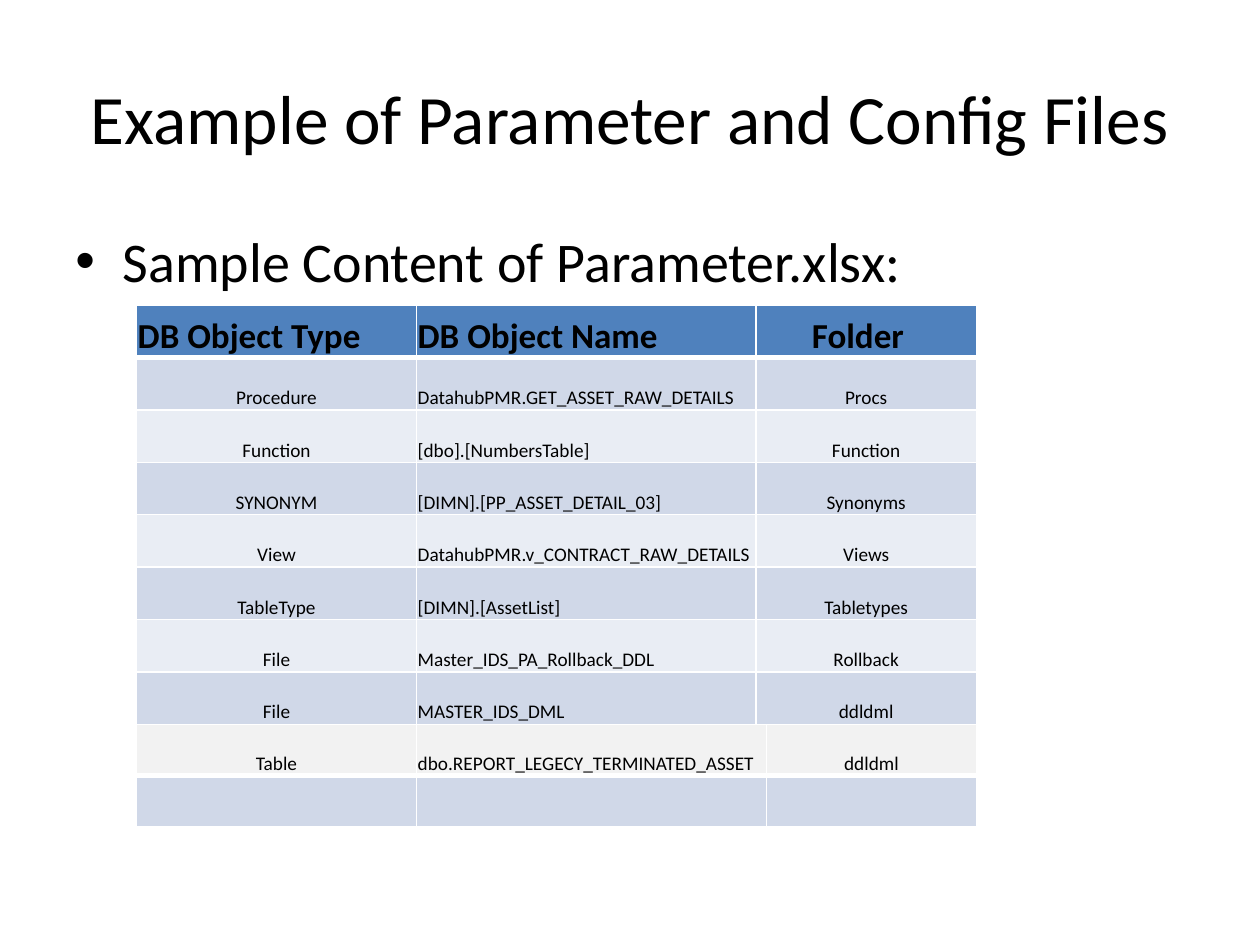
from lxml.etree import SubElement
from pptx import Presentation
from pptx.dml.color import RGBColor
from pptx.enum.text import MSO_ANCHOR, PP_ALIGN
from pptx.oxml.ns import qn
from pptx.util import Pt


def write(tf, text, size, bold=False, align=PP_ALIGN.LEFT, color="000000"):
    p = tf.paragraphs[0]
    p.alignment = align
    r = p.add_run()
    r.text = text
    r.font.name = "Calibri"
    r.font.size = Pt(size)
    r.font.bold = bold
    r.font.color.rgb = RGBColor.from_string(color)
    return p


def format_cell(cell, fill, top=1, bottom=1):
    # Borders come before the fill in the cell properties
    tc_pr = cell._tc.get_or_add_tcPr()
    for side, width in (("L", 1), ("R", 1), ("T", top), ("B", bottom)):
        ln = SubElement(tc_pr, qn(f"a:ln{side}"), w=str(Pt(width)))
        SubElement(SubElement(ln, qn("a:solidFill")), qn("a:srgbClr"), val="FFFFFF")
    cell.fill.solid()
    cell.fill.fore_color.rgb = RGBColor.from_string(fill)
    cell.vertical_anchor = MSO_ANCHOR.BOTTOM
    cell.margin_left = cell.margin_right = cell.margin_top = Pt(0.7)
    cell.margin_bottom = Pt(0)


prs = Presentation()
prs.slide_width, prs.slide_height = Pt(720), Pt(540)
s = prs.slides.add_slide(prs.slide_layouts[5])

# Title
title = s.shapes.title
title.left, title.top, title.width, title.height = Pt(36), Pt(21.6), Pt(648), Pt(90)
title.text_frame.vertical_anchor = MSO_ANCHOR.MIDDLE
write(title.text_frame, "Example of Parameter and Config Files", 39.6, align=PP_ALIGN.CENTER)

# Bullet line
sp = s.shapes.add_textbox(Pt(36), Pt(126), Pt(648), Pt(356.4))
sp.text_frame.word_wrap = True
p = write(sp.text_frame, "Sample Content of Parameter.xlsx:", 32)
p.space_before = Pt(6.4)
p_pr = p._p.get_or_add_pPr()
p_pr.set("marL", str(Pt(27)))
p_pr.set("indent", str(Pt(-27)))
SubElement(p_pr, qn("a:buFont"), typeface="Arial")
SubElement(p_pr, qn("a:buChar"), char="•")

# Tables: top, column widths, row height, row fills, row that has the thick line below, rows
HEADER, DARK, LIGHT, GREY = "4F81BD", "D0D8E8", "E9EDF4", "F2F2F2"
tables = [
    (174.4, (160, 194, 126), 29.95, [HEADER] + [DARK, LIGHT] * 3 + [DARK], [
        ("DB Object Type", "DB Object Name", "Folder"),
        ("Procedure", "DatahubPMR.GET_ASSET_RAW_DETAILS", "Procs"),
        ("Function", "[dbo].[NumbersTable]", "Function"),
        ("SYNONYM", "[DIMN].[PP_ASSET_DETAIL_03]", "Synonyms"),
        ("View", "DatahubPMR.v_CONTRACT_RAW_DETAILS", "Views"),
        ("TableType", "[DIMN].[AssetList]", "Tabletypes"),
        ("File", "Master_IDS_PA_Rollback_DDL", "Rollback"),
        ("File", "MASTER_IDS_DML", "ddldml"),
    ]),
    (414, (160, 200, 120), 29.2, [GREY, DARK], [
        ("Table", "dbo.REPORT_LEGECY_TERMINATED_ASSET", "ddldml"),
        ("", "", ""),
    ]),
]
for top, widths, height, fills, rows in tables:
    frame = s.shapes.add_table(len(rows), 3, Pt(78), Pt(top), Pt(sum(widths)), Pt(height * len(rows)))
    table = frame.table
    for column, width in zip(table.columns, widths):
        column.width = Pt(width)
    for i, (fill, row) in enumerate(zip(fills, rows)):
        table.rows[i].height = Pt(height)
        header = fill == HEADER
        for j, text in enumerate(row):
            cell = table.cell(i, j)
            # A thick line parts the first row from the second
            format_cell(cell, fill, top=3 if i == 1 else 1, bottom=3 if i == 0 else 1)
            if header and j == 2:
                cell.margin_left = Pt(32)
            if text:
                centred = j != 1 and not header
                write(cell.text_frame, text, 20 if header else 11, bold=header,
                      align=PP_ALIGN.CENTER if centred else PP_ALIGN.LEFT)

prs.save("out.pptx")
